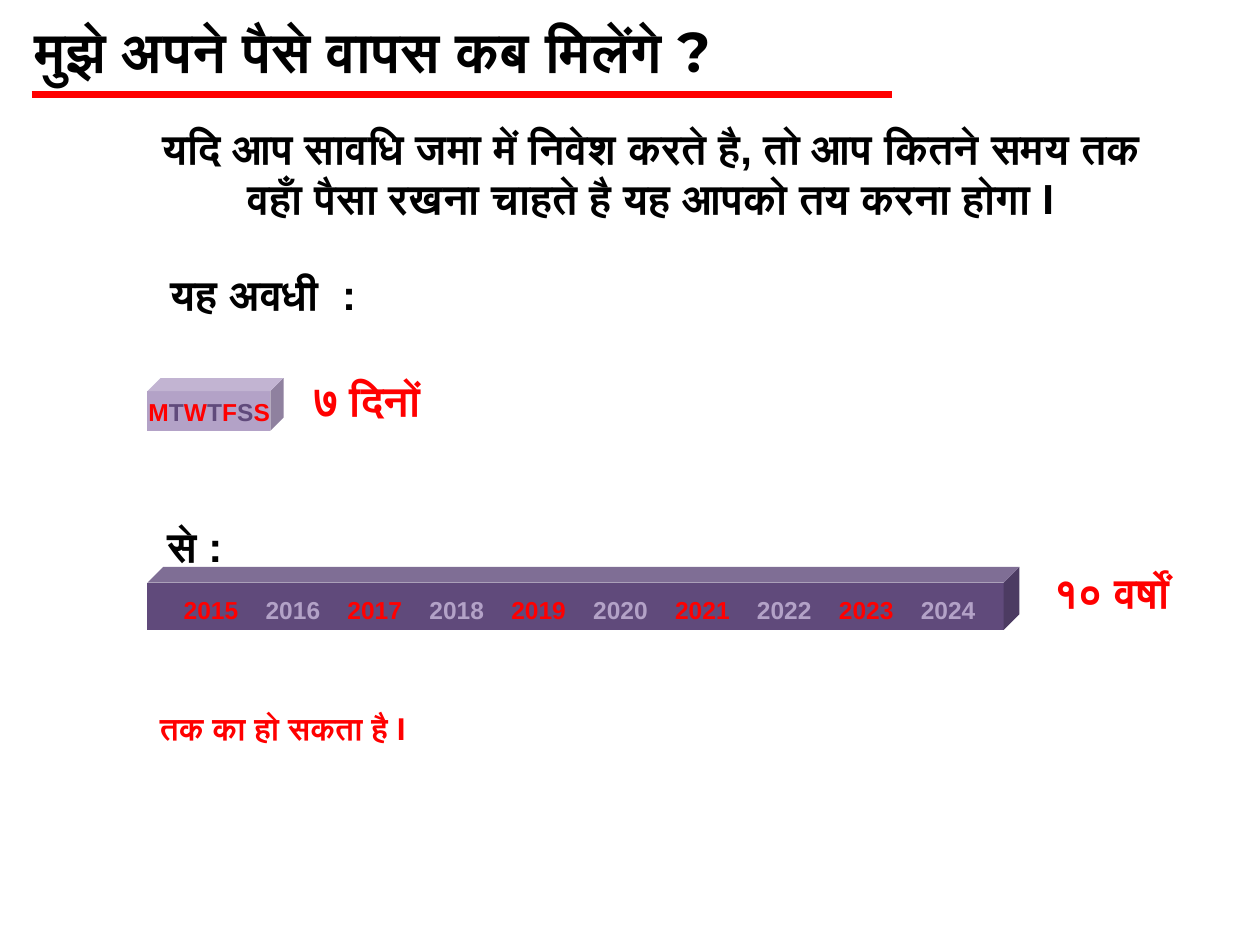
from collections import namedtuple
from dataclasses import dataclass
from lxml.etree import SubElement
from pptx import Presentation
from pptx.dml.color import RGBColor
from pptx.enum.shapes import MSO_CONNECTOR, MSO_SHAPE
from pptx.enum.text import MSO_ANCHOR, MSO_AUTO_SIZE, PP_ALIGN
from pptx.oxml.ns import qn
from pptx.util import Inches, Pt

Box = namedtuple("Box", "left top width height")


@dataclass(frozen=True)
class Theme:
    ink: str = "000000"
    red: str = "FF0000"
    light: str = "B3A2C7"
    dark: str = "604A7B"
    body: str = "Arial"
    head: str = "Montserrat"
    title: int = 32
    large: int = 24
    note: int = 18
    small: int = 14
    rule: float = 4.5


LOOK = Theme()


def place(box, left, top, width, height):
    return [Inches(n) for n in (box.left + left, box.top + top, width, height)]


def write(shape, *parts, size=LOOK.large, face=LOOK.body, hues=(LOOK.ink,),
          align=PP_ALIGN.LEFT, wrap=True, tab=0):
    frame = shape.text_frame
    frame.word_wrap = wrap
    frame.auto_size = MSO_AUTO_SIZE.SHAPE_TO_FIT_TEXT
    frame.vertical_anchor = MSO_ANCHOR.TOP
    line = frame.paragraphs[0]
    line.alignment = align
    if tab:
        stops = SubElement(line._p.get_or_add_pPr(), qn("a:tabLst"))
        for n in range(1, len(parts)):
            SubElement(stops, qn("a:tab"), pos=str(Inches(tab * n)), algn="l")
    for n, part in enumerate(parts):
        run = line.add_run()
        run.text = "\t" + part if tab and n else part
        run.font.name = face
        run.font.size = Pt(size)
        run.font.bold = True
        run.font.color.rgb = RGBColor.from_string(hues[n % len(hues)])


def label(shapes, spot, *parts, **style):
    write(shapes.add_textbox(*spot), *parts, **style)


def block(shapes, spot, hue):
    cube = shapes.add_shape(MSO_SHAPE.CUBE, *spot)
    cube.shadow.inherit = False
    cube.fill.solid()
    cube.fill.fore_color.rgb = RGBColor.from_string(hue)
    cube.line.fill.background()


def header(slide, box):
    title = slide.shapes.title
    title.left, title.top, title.width, title.height = place(box, 0, 0, box.width, box.height)
    write(title, "मुझे अपने पैसे वापस कब मिलेंगे ?", size=LOOK.title, face=LOOK.head)
    left, top, width, _ = place(box, 0.08, 0.67, 6.83, 0)
    rule = slide.shapes.add_connector(MSO_CONNECTOR.STRAIGHT, left, top, left + width, top)
    rule.line.color.rgb = RGBColor.from_string(LOOK.red)
    rule.line.width = Pt(LOOK.rule)
    SubElement(rule._element.spPr, qn("a:effectLst"))


def intro(slide, box):
    label(slide.shapes, place(box, 0, 0, box.width, 0.91),
          "यदि आप सावधि जमा में निवेश करते है, तो आप कितने समय तक "
          "वहाँ पैसा रखना चाहते है यह आपको तय करना होगा I", align=PP_ALIGN.CENTER)


def days(slide, box):
    label(slide.shapes, place(box, -0.08, 0, 2, 0.5), "यह अवधी  :", align=PP_ALIGN.CENTER)
    group = slide.shapes.add_group_shape().shapes
    block(group, place(box, 0, 0.92, 1.08, 0.42), LOOK.light)
    label(group, place(box, 1.08, 0.84, 1.33, 0.5), "७ दिनों",
          hues=(LOOK.red,), align=PP_ALIGN.CENTER)
    label(group, place(box, -0.09, 1.02, 1.5, 0.33), *"MTWTFSS",
          size=LOOK.small, hues=(LOOK.red, LOOK.dark))


def years(slide, box):
    label(slide.shapes, place(box, 0, 0, 0.75, 0.5), "से :", align=PP_ALIGN.CENTER)
    group = slide.shapes.add_group_shape().shapes
    block(group, place(box, 0, 0.42, 6.92, 0.5), LOOK.dark)
    label(group, place(box, 6.78, 0.37, 1.75, 0.5), "१० वर्षों",
          hues=(LOOK.red,), align=PP_ALIGN.CENTER)
    label(group, place(box, 0.19, 0.59, 6.67, 0.34), *map(str, range(2015, 2025)),
          size=LOOK.small, hues=(LOOK.red, LOOK.light), tab=0.65)


def ending(slide, box):
    label(slide.shapes, place(box, 0, 0, box.width, box.height), "तक का हो सकता है I",
          size=LOOK.note, hues=(LOOK.red,), wrap=False)


def main():
    deck = Presentation()
    deck.slide_width, deck.slide_height = Inches(10), Inches(7.5)
    slide = deck.slides.add_slide(deck.slide_layouts[5])
    header(slide, Box(0.17, 0.08, 9.83, 0.64))
    intro(slide, Box(1.08, 0.92, 8.17, 0.91))
    days(slide, Box(1.17, 2.08, 2.41, 1.35))
    years(slide, Box(1.17, 4.08, 8.53, 0.93))
    ending(slide, Box(1.17, 5.58, 2.18, 0.4))
    deck.save("out.pptx")


if __name__ == "__main__":
    main()
